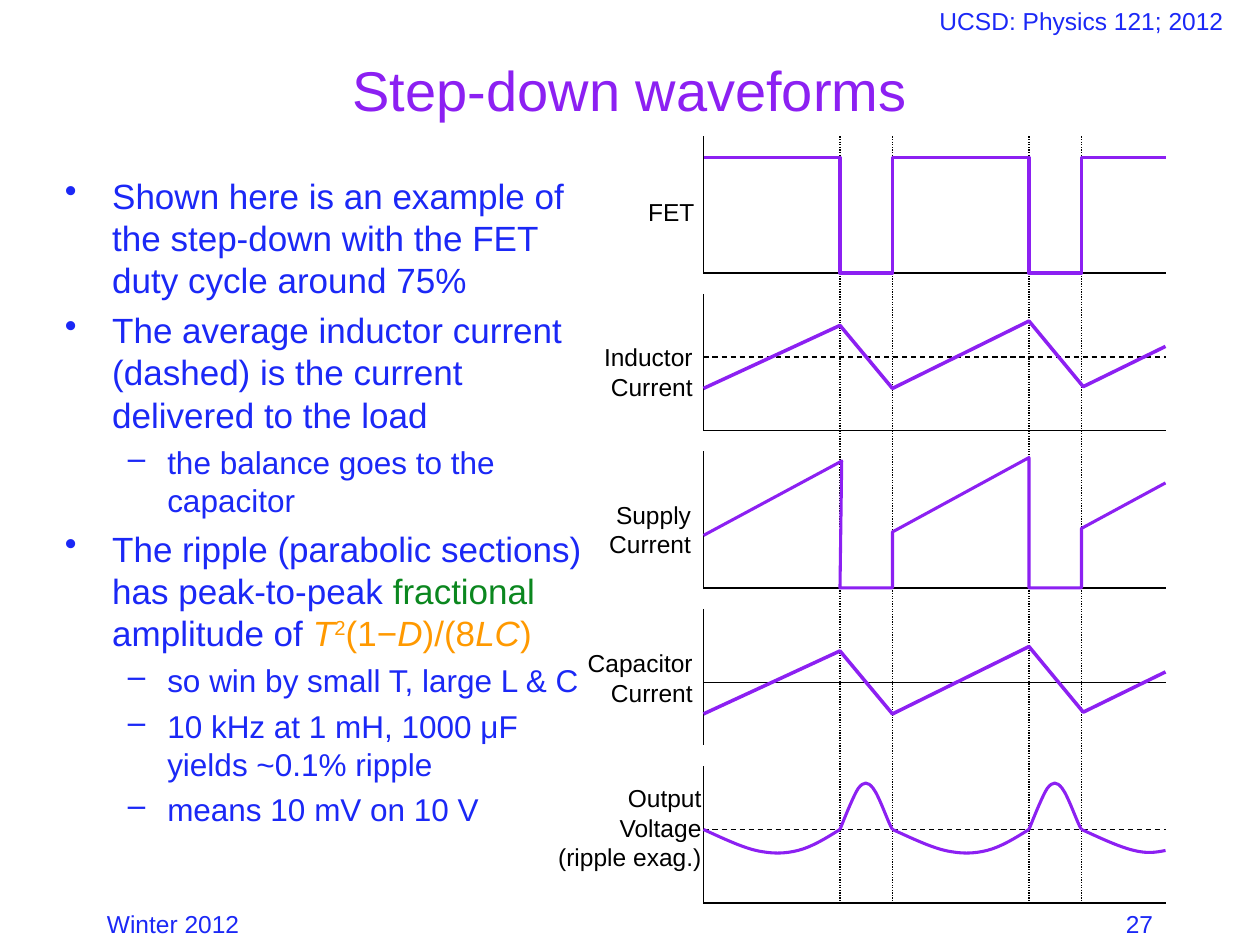
from lxml.etree import SubElement
from pptx import Presentation
from pptx.dml.color import RGBColor
from pptx.enum.dml import MSO_LINE
from pptx.enum.shapes import MSO_CONNECTOR
from pptx.enum.text import MSO_ANCHOR, PP_ALIGN
from pptx.oxml.ns import qn
from pptx.util import Pt

BLUE = RGBColor(0x1B, 0x28, 0xF6)
PURPLE = RGBColor(0x8C, 0x20, 0xF2)
GREEN = RGBColor(0x0B, 0x87, 0x1F)
ORANGE = RGBColor(0xFF, 0x99, 0x00)
BLACK = RGBColor(0, 0, 0)

# Switching times, measured from the left axis of every panel
OFF_1, ON_1, OFF_2, ON_2, END = 78, 108, 186, 216, 264
PANEL_HEIGHT, PANEL_PITCH = 78, 90

BULLETS = [  # level, then (text, colour, italic, superscript) runs
    (0, [("Shown here is an example of the step-down with the FET "
          "duty cycle around 75%", BLUE, False, False)]),
    (0, [("The average inductor current (dashed) is the current "
          "delivered to the load", BLUE, False, False)]),
    (1, [("the balance goes to the capacitor", BLUE, False, False)]),
    (0, [("The ripple (parabolic sections) has peak-to-peak ", BLUE, False, False),
         ("fractional", GREEN, False, False),
         (" amplitude of ", BLUE, False, False),
         ("T", ORANGE, True, False),
         ("2", ORANGE, False, True),
         ("(1−", ORANGE, False, False),
         ("D", ORANGE, True, False),
         (")/(8", ORANGE, False, False),
         ("LC", ORANGE, True, False),
         (")", ORANGE, False, False)]),
    (1, [("so win by small T, large L & C", BLUE, False, False)]),
    (1, [("10 kHz at 1 mH, 1000 μF yields ~0.1% ripple", BLUE, False, False)]),
    (1, [("means 10 mV on 10 V", BLUE, False, False)]),
]
# Per level: size, text indent, hanging indent, space before, bullet
LEVELS = [(20, 27, 27, 5, "•"), (18, 58.5, 22.5, 4.5, "–")]

# Label lines with the box's right edge and top relative to the panel, and its width
LABELS = [
    (["FET"], 2, 31, 46),
    (["Inductor", "Current"], 1, 24, 72),
    (["Supply", "Current"], 0, 24, 68),
    (["Capacitor", "Current"], 1, 19, 82),
    (["Output", "Voltage", "(ripple exag.)"], 6, 6, 104),
]


def style_font(font, size, color):
    font.name = "Arial"
    font.size = Pt(size)
    font.color.rgb = color


def add_text(page, box, lines, size, color, align, anchor=MSO_ANCHOR.TOP, wrap=True):
    frame = page.shapes.add_textbox(*map(Pt, box)).text_frame
    frame.word_wrap = wrap
    frame.vertical_anchor = anchor
    frame.text = "\n".join(lines)
    for para in frame.paragraphs:
        para.alignment = align
        para.line_spacing = Pt(size * 1.2)
        style_font(para.runs[0].font, size, color)


def add_bullet_mark(para, indent, hanging, mark):
    properties = para._p.get_or_add_pPr()
    properties.set("marL", str(Pt(indent)))
    properties.set("indent", str(-Pt(hanging)))
    color = SubElement(properties, qn("a:buClr"))
    SubElement(color, qn("a:srgbClr"), val=str(BLUE))
    SubElement(properties, qn("a:buChar"), char=mark)


def add_bullets(page, box):
    frame = page.shapes.add_textbox(*map(Pt, box)).text_frame
    frame.word_wrap = True
    for index, (level, runs) in enumerate(BULLETS):
        para = frame.add_paragraph() if index else frame.paragraphs[0]
        size, indent, hanging, before, mark = LEVELS[level]
        para.level = level
        para.space_before = Pt(before)
        para.line_spacing = Pt(size * 1.2)
        add_bullet_mark(para, indent, hanging, mark)
        for text, color, italic, superscript in runs:
            span = para.add_run()
            span.text = text
            style_font(span.font, size, color)
            span.font.italic = italic
            if superscript:
                span.font._element.set("baseline", "30000")


def add_line(page, x1, y1, x2, y2, dash=None):
    line = page.shapes.add_connector(MSO_CONNECTOR.STRAIGHT, *map(Pt, (x1, y1, x2, y2)))
    line.line.color.rgb = BLACK
    line.line.width = Pt(0.75)
    if dash:
        line.line.dash_style = dash
    SubElement(line._element.spPr, qn("a:effectLst"))


def add_trace(page, left, top, points, width=2, curved=False):
    """Draw a waveform; when curved, each three points after the first are one Bézier."""
    start, *rest = [(Pt(left + x), Pt(top + y)) for x, y in points]
    builder = page.shapes.build_freeform(*start, scale=1.0)
    builder.add_line_segments(rest, close=False)
    trace = builder.convert_to_shape()
    trace.shadow.inherit = False
    trace.fill.background()
    trace.line.color.rgb = PURPLE
    trace.line.width = Pt(width)
    if curved:
        outline = trace._element.find(".//" + qn("a:path"))
        segments = outline.findall(qn("a:lnTo"))
        for first in range(0, len(segments), 3):
            bezier = SubElement(outline, qn("a:cubicBezTo"))
            for segment in segments[first:first + 3]:
                bezier.append(segment[0])
                outline.remove(segment)


def add_fet_trace(page, left, top):
    high, low = 12, PANEL_HEIGHT
    points = [(0, high)]
    for off, on in ((OFF_1, ON_1), (OFF_2, ON_2)):
        points += [(off, high), (off, low), (on, low), (on, high)]
    add_trace(page, left, top, points + [(END, high)])


def add_triangle_trace(page, left, top):
    add_trace(page, left, top, [(0, 54), (OFF_1, 18), (ON_1, 54), (OFF_2, 15.5),
                                (ON_2 + 1, 53), (END, 30)])


def add_supply_trace(page, left, top):
    low = PANEL_HEIGHT
    add_trace(page, left, top, [(0, 48), (OFF_1 + 1, 5.5), (OFF_1, low), (ON_1, low),
                                (ON_1, 46), (OFF_2, 3.5), (OFF_2, low), (ON_2, low),
                                (ON_2, 44), (END, 18)], 1.75)


def add_ripple_trace(page, left, top):
    sag = [(0, 0), (11, 5), (21.5, 10), (30, 12)]
    full_sag = sag + [(39, 14), (46, 14), (54, 12), (62, 10), (70, 5), (78, 0)]
    cut_sag = sag + [(38, 14), (43, 13), (48, 12)]
    bump = [(0, 0), (1.5, -3.5), (7.5, -19), (10.5, -23.5), (13.5, -27.5),
            (16, -27.5), (19, -23.5), (22.5, -19), (27.5, -4), (30, 0)]
    for start, section in ((0, full_sag), (OFF_1, bump), (ON_1, full_sag),
                           (OFF_2, bump), (ON_2, cut_sag)):
        add_trace(page, left + start, top, section, 1.75, curved=True)


def add_waveforms(page, left, top):
    tops = [top + PANEL_PITCH * row for row in range(5)]
    fet, inductor, supply, capacitor, output = tops
    right = left + END
    for panel in tops:
        base = panel + (42 if panel == capacitor else PANEL_HEIGHT)
        add_line(page, left, panel, left, panel + PANEL_HEIGHT)
        add_line(page, left, base, right, base)
    for time in (OFF_1, ON_1, OFF_2, ON_2):
        add_line(page, left + time, top, left + time, output + PANEL_HEIGHT,
                 MSO_LINE.ROUND_DOT)
    for average in (inductor + 36, output + 36):
        add_line(page, left, average, right, average, MSO_LINE.DASH)
    add_fet_trace(page, left, fet)
    add_triangle_trace(page, left, inductor)
    add_supply_trace(page, left, supply)
    add_triangle_trace(page, left, capacitor + 6)
    add_ripple_trace(page, left, output + 36)
    for panel, (lines, edge, y, width) in zip(tops, LABELS):
        box = (left + edge - width, panel + y, width, 7.5 + 17 * len(lines))
        add_text(page, box, lines, 14, BLACK, PP_ALIGN.RIGHT, wrap=False)


def main():
    deck = Presentation()
    deck.slide_width, deck.slide_height = Pt(720), Pt(540)
    page = deck.slides.add_slide(deck.slide_layouts[6])
    add_text(page, (54, 516, 150, 36), ["Winter 2012"], 14, BLUE, PP_ALIGN.LEFT)
    add_text(page, (504, 0, 228, 36), ["UCSD: Physics 121; 2012"], 14, BLUE,
             PP_ALIGN.CENTER)
    add_text(page, (516, 516, 150, 36), ["27"], 14, BLUE, PP_ALIGN.RIGHT)
    add_text(page, (54, 6, 612, 90), ["Step-down waveforms"], 32, PURPLE,
             PP_ALIGN.CENTER, MSO_ANCHOR.MIDDLE)
    add_bullets(page, (30, 96, 312, 396))
    add_waveforms(page, 402, 78)
    deck.save("out.pptx")


if __name__ == "__main__":
    main()
